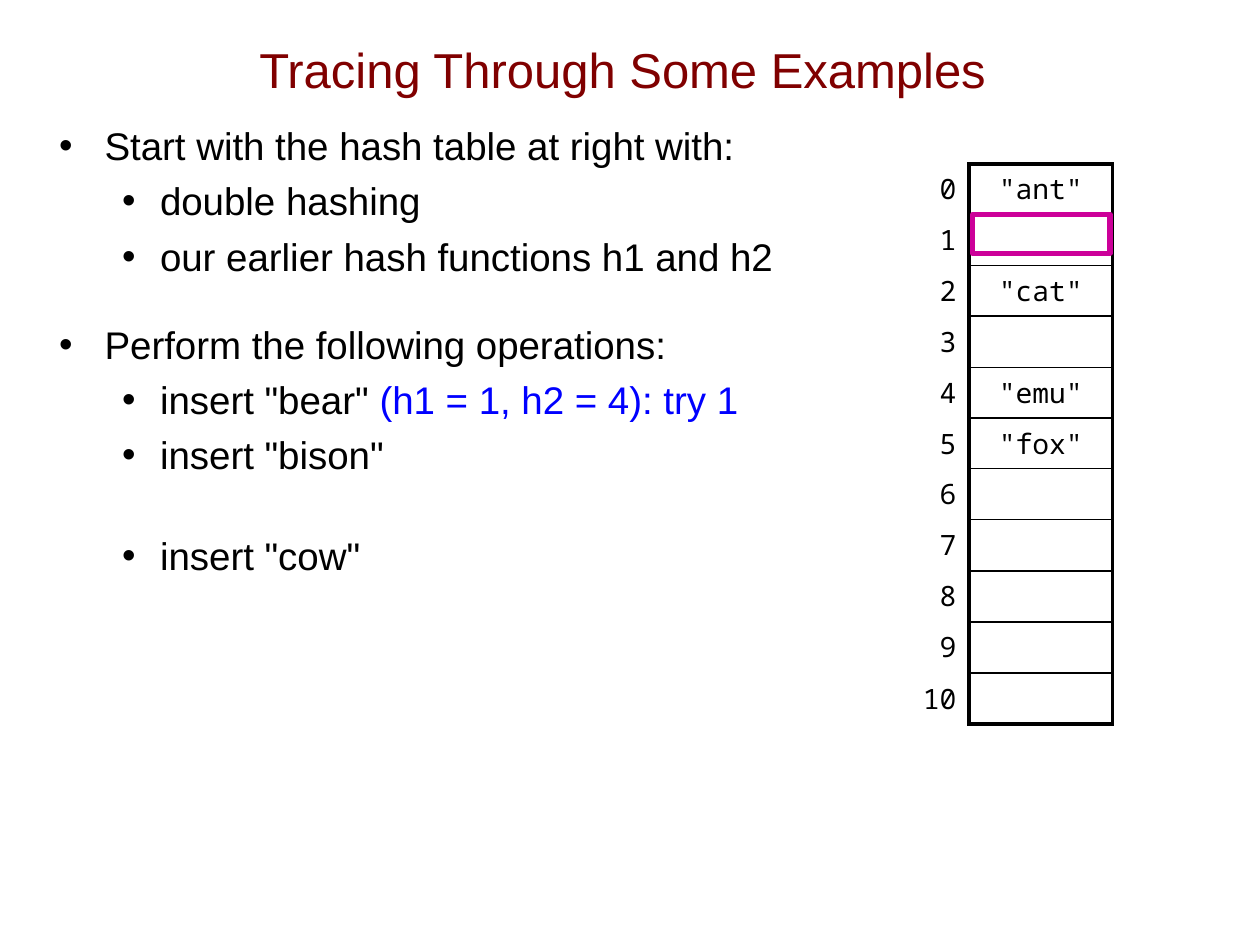
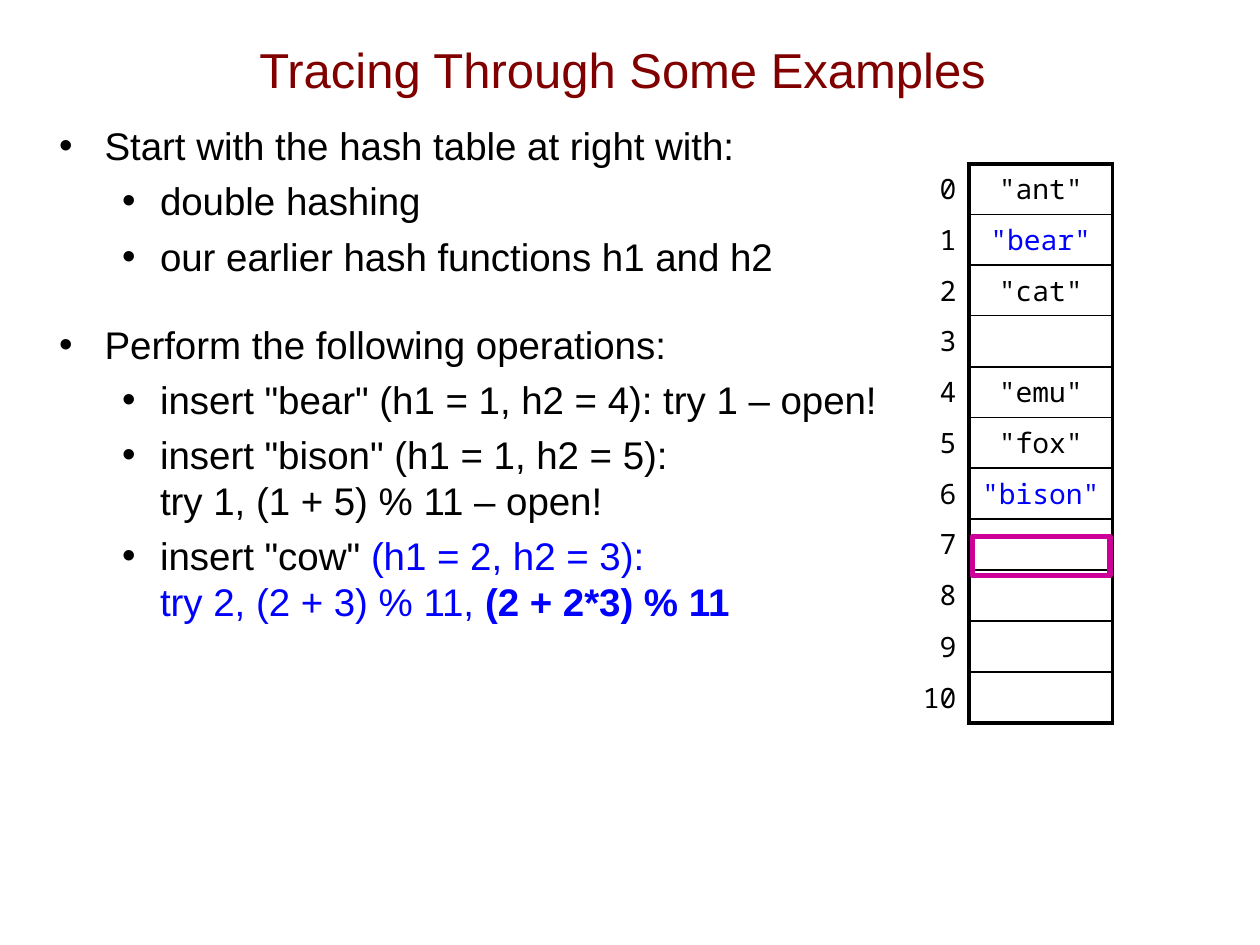
from pptx import Presentation
from pptx.dml.color import RGBColor
from pptx.enum.shapes import MSO_SHAPE
from pptx.enum.text import PP_ALIGN
from pptx.oxml import parse_xml
from pptx.oxml.ns import nsdecls, qn
from pptx.util import Inches, Pt

RECTANGLE = MSO_SHAPE.RECTANGLE
RIGHT, CENTER = PP_ALIGN.RIGHT, PP_ALIGN.CENTER

MAROON = RGBColor(0x80, 0x00, 0x00)
BLACK = RGBColor(0x00, 0x00, 0x00)
BLUE = RGBColor(0x00, 0x00, 0xFF)
MAGENTA = RGBColor(0xCC, 0x00, 0x99)
TEXT_FONT, CODE_FONT = "Arial", "Noto Sans Mono"
NO_STYLE_NO_GRID = "{2D5ABB26-0587-4C30-8999-92F81FD0307C}"
TABLE_SIZE = 11
THICK, THIN = 2.25, 1

TITLE = "Tracing Through Some Examples"
# Each bullet: level, space before in points, spans of (text, format)
SETUP = [
    (0, 0, [("Start with the hash table at right with:", {})]),
    (1, 5.2, [("double hashing", {})]),
    (1, 5.2, [("our earlier hash functions h1 and h2", {})]),
    (0, 24, [("Perform the following operations:", {})]),
]
START_KEYS = {0: '"ant"', 2: '"cat"', 4: '"emu"', 5: '"fox"'}
STEPS = [
    {
        "operations": [
            [('insert "bear" ', {}), ("(h1 = 1, h2 = 4): try 1", {"color": BLUE})],
            [('insert "bison"\n', {})],
            [('insert "cow"', {})],
        ],
        "inserted": {},
        "probe_top": 1.7,
    },
    {
        "operations": [
            [('insert "bear" (h1 = 1, h2 = 4): try 1 – open!', {})],
            [('insert "bison" (h1 = 1, h2 = 5):\ntry 1, (1 + 5) % 11 – open!', {})],
            [
                ('insert "cow" ', {}),
                ("(h1 = 2, h2 = 3):\ntry 2, (2 + 3) % 11, ", {"color": BLUE}),
                ("(2 + 2*3) % 11", {"color": BLUE, "bold": True}),
            ],
        ],
        "inserted": {1: '"bear"', 6: '"bison"'},
        "probe_top": 4.26,
    },
]


def add_spans(para, spans):
    for text, formats in spans:
        for index, line in enumerate(text.split("\n")):
            if index:
                para.add_line_break()
            if line:
                span = para.add_run()
                span.text = line
                span.font.bold = formats.get("bold")
                if "color" in formats:
                    span.font.color.rgb = formats["color"]


def fill_cell(cell, text, align, color):
    para = cell.text_frame.paragraphs[0]
    para.alignment = align
    if text:
        span = para.add_run()
        span.text = text
        span.font.size = Pt(16)
        span.font.name = CODE_FONT
        span.font.color.rgb = color


deck = Presentation()
deck.slide_width, deck.slide_height = Inches(10), Inches(7.5)
layout = deck.slide_layouts[1]

# Title and bullet styles shared by all slides
for style, level, size, color, margin, indent in [
    ("titleStyle", 1, 28, MAROON, 0, 0),
    ("bodyStyle", 1, 22, BLACK, 0.36, -0.36),
    ("bodyStyle", 2, 22, BLACK, 0.8, -0.3),
]:
    level_style = deck.slide_master.element.find(f".//{qn('p:' + style)}/{qn(f'a:lvl{level}pPr')}")
    level_style.set("marL", str(Inches(margin)))
    level_style.set("indent", str(Inches(indent)))
    bullet = level_style.find(qn("a:buChar"))
    if bullet is not None:
        bullet.set("char", "•")
    default_font = level_style.find(qn("a:defRPr"))
    default_font.set("sz", str(size * 100))
    default_font.find(qn("a:latin")).set("typeface", TEXT_FONT)
    solid_fill = default_font.find(qn("a:solidFill"))
    solid_fill.getparent().replace(solid_fill, parse_xml(
        f'<a:solidFill {nsdecls("a")}><a:srgbClr val="{color}"/></a:solidFill>'))

placeholder_places = [(0.64, 0.08, 8.6, 0.93), (0.37, 0.92, 9.63, 6.14)]

for step in STEPS:
    page = deck.slides.add_slide(layout)
    for box, place in zip(page.placeholders, placeholder_places):
        box.left, box.top, box.width, box.height = map(Inches, place)
    page.shapes.title.text = TITLE

    frame = page.placeholders[1].text_frame
    bullets = SETUP + [(1, 5, spans) for spans in step["operations"]]
    for index, (level, space, spans) in enumerate(bullets):
        para = frame.add_paragraph() if index else frame.paragraphs[0]
        para.level = level
        para.space_before = Pt(space)
        add_spans(para, spans)

    table = page.shapes.add_table(
        TABLE_SIZE, 2, Inches(6.54), Inches(1.3), Inches(2.29), Inches(4.03)).table
    table.first_row = table.horz_banding = False
    table._tbl.tblPr.find(qn("a:tableStyleId")).text = NO_STYLE_NO_GRID
    table.columns[0].width, table.columns[1].width = Inches(1.15), Inches(1.14)
    for row in range(TABLE_SIZE):
        label, slot = table.cell(row, 0), table.cell(row, 1)
        inserted = step["inserted"].get(row)
        fill_cell(label, str(row), RIGHT, BLACK)
        fill_cell(slot, inserted or START_KEYS.get(row), CENTER, BLUE if inserted else BLACK)
        borders = {
            "lnL": THICK,
            "lnR": THICK,
            "lnT": THICK if row == 0 else THIN,
            "lnB": THICK if row == TABLE_SIZE - 1 else THIN,
        }
        for side, width in borders.items():
            slot._tc.get_or_add_tcPr().append(parse_xml(
                f'<a:{side} {nsdecls("a")} w="{Pt(width)}"><a:solidFill>'
                f'<a:srgbClr val="{BLACK}"/></a:solidFill></a:{side}>'))
        label.fill.background()
        slot.fill.background()

    probe = page.shapes.add_shape(
        RECTANGLE, Inches(7.72), Inches(step["probe_top"]), Inches(1.09), Inches(0.31))
    probe.shadow.inherit = False
    probe.fill.background()
    probe.line.color.rgb = MAGENTA
    probe.line.width = Pt(3)

deck.save("out.pptx")
